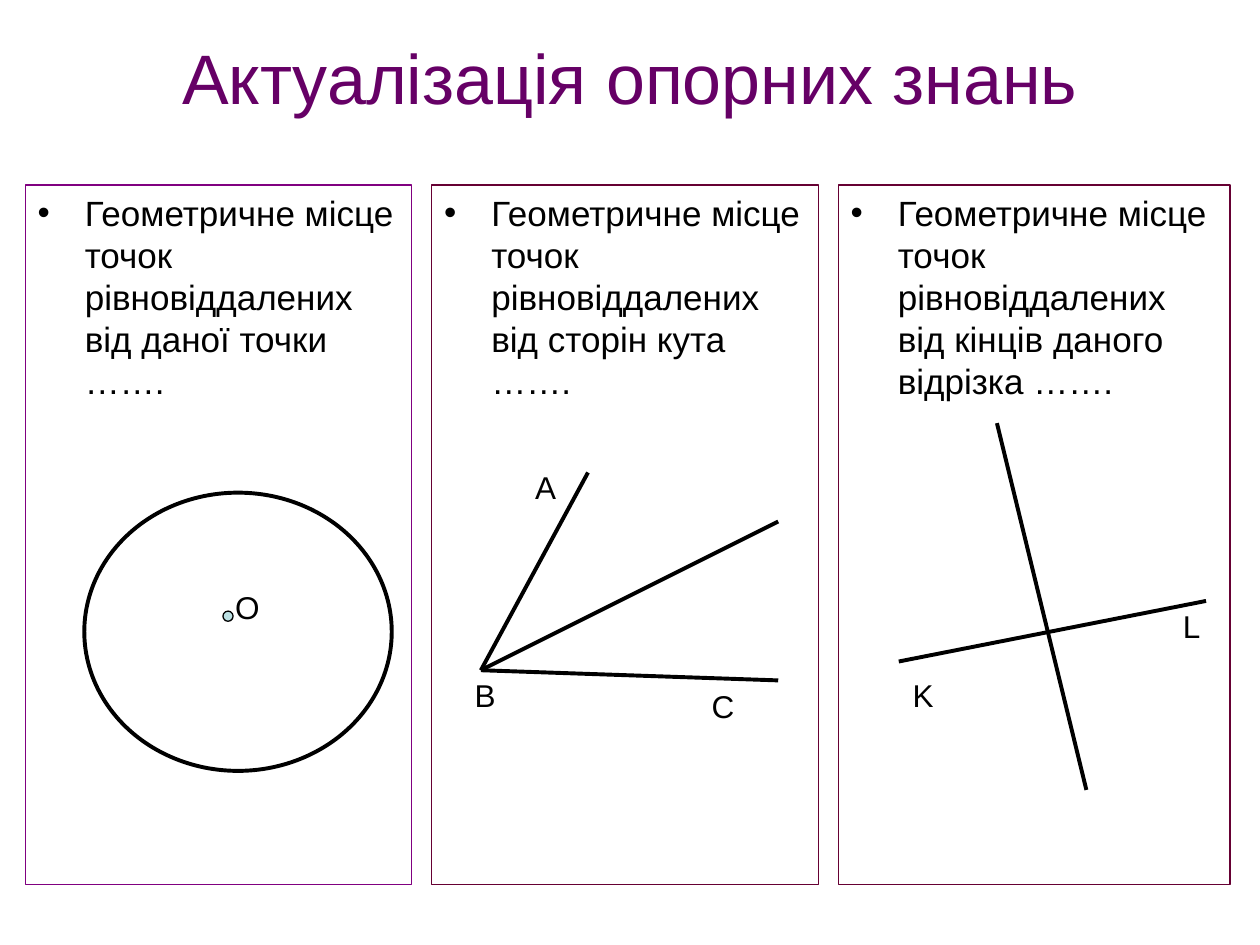
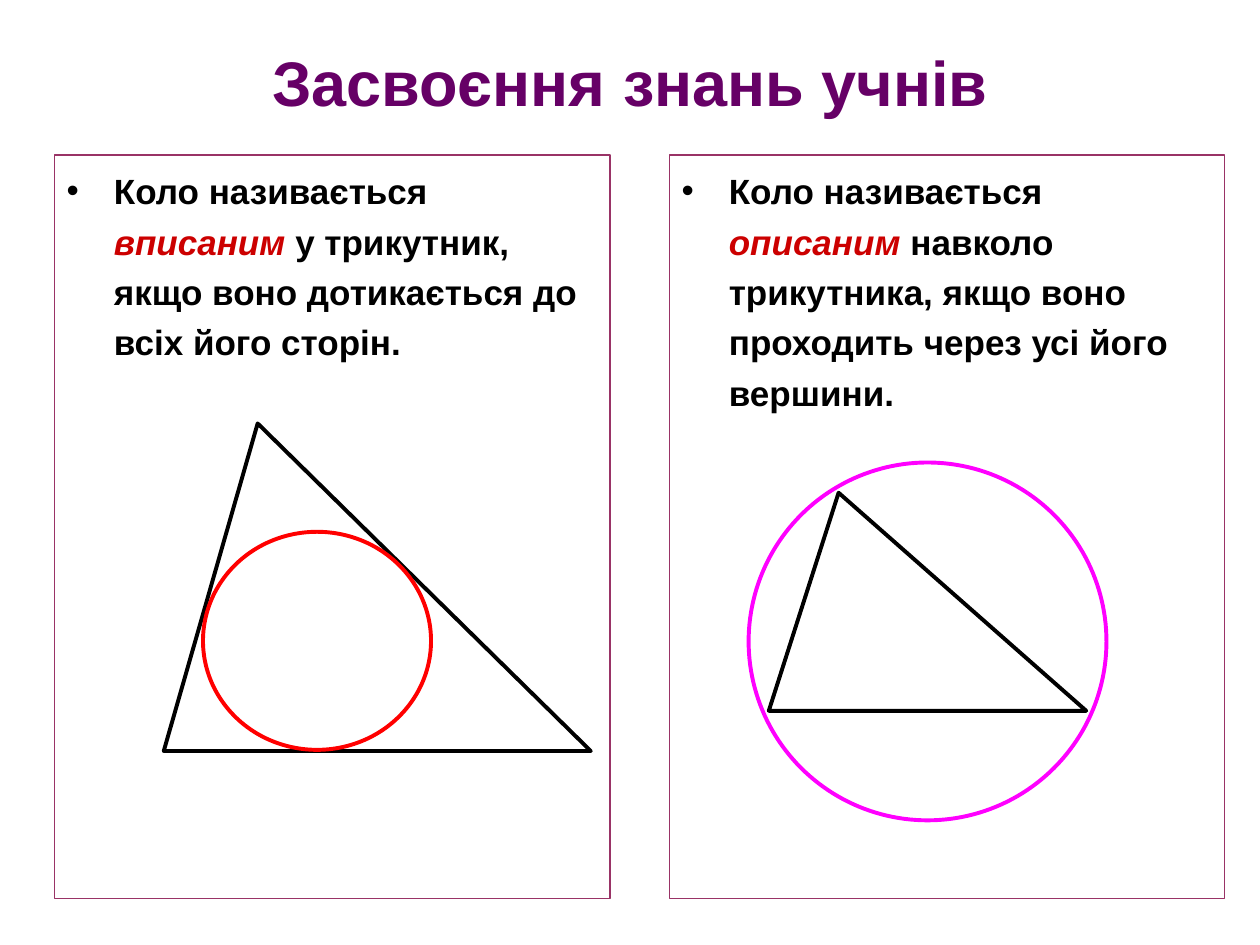
from lxml.etree import SubElement
from pptx import Presentation
from pptx.dml.color import RGBColor
from pptx.enum.shapes import MSO_CONNECTOR, MSO_SHAPE
from pptx.enum.text import MSO_ANCHOR, MSO_AUTO_SIZE, PP_ALIGN
from pptx.oxml.ns import qn
from pptx.util import Pt

FONT = "Arial"
BLACK = RGBColor(0x00, 0x00, 0x00)
TITLE = RGBColor(0x66, 0x00, 0x66)
PURPLE = RGBColor(0x80, 0x00, 0x80)
WINE = RGBColor(0x66, 0x00, 0x33)
PLUM = RGBColor(0x99, 0x33, 0x66)
TERM = RGBColor(0xCC, 0x00, 0x00)
RED = RGBColor(0xFF, 0x00, 0x00)
MAGENTA = RGBColor(0xFF, 0x00, 0xFF)
DOT = RGBColor(0xBB, 0xE0, 0xE3)
THICK, THIN = 2.25, 0.75


def add_text(tf, runs, size=20, bold=False, color=BLACK, align=PP_ALIGN.LEFT,
             anchor=MSO_ANCHOR.TOP, before=0, spacing=None, bullet=False):
    tf.word_wrap = True
    tf.auto_size = MSO_AUTO_SIZE.NONE
    tf.vertical_anchor = anchor
    tf.margin_left = tf.margin_right = Pt(7.2)
    tf.margin_top = tf.margin_bottom = Pt(3.6)
    p = tf.paragraphs[0]
    p.alignment = align
    p.space_before = Pt(before)
    if spacing:
        p.line_spacing = spacing
    if bullet:
        pPr = p._p.get_or_add_pPr()
        pPr.set("marL", str(Pt(27)))
        pPr.set("indent", str(Pt(-27)))
        SubElement(pPr, qn("a:buFont"), typeface=FONT)
        SubElement(pPr, qn("a:buChar"), char="•")
    for text, is_term in runs:
        r = p.add_run()
        r.text = text
        r.font.name = FONT
        r.font.size = Pt(size)
        r.font.bold = bold
        r.font.italic = is_term
        r.font.color.rgb = TERM if is_term else color


def add_outline(s, kind, box, color=BLACK, width=THICK, fill=None):
    sp = s.shapes.add_shape(kind, *(Pt(v) for v in box))
    sp.shadow.inherit = False
    if fill is None:
        sp.fill.background()
    else:
        sp.fill.solid()
        sp.fill.fore_color.rgb = fill
    sp.line.color.rgb = color
    sp.line.width = Pt(width)
    return sp


def add_line(s, x, y, start, end):
    sp = s.shapes.add_connector(MSO_CONNECTOR.STRAIGHT,
                                Pt(x + start[0]), Pt(y + start[1]),
                                Pt(x + end[0]), Pt(y + end[1]))
    SubElement(sp._element.spPr, qn("a:effectLst"))
    sp.line.color.rgb = BLACK
    sp.line.width = Pt(THICK)


def add_label(s, text, x, y):
    sp = s.shapes.add_textbox(Pt(x), Pt(y), Pt(51), Pt(28.8))
    add_text(sp.text_frame, [(text, False)], size=18, before=11.2,
             align=PP_ALIGN.CENTER)


def add_titled_slide(prs, title, height, size, bold=False):
    s = prs.slides.add_slide(prs.slide_layouts[5])
    sp = s.shapes.title
    sp.left, sp.top, sp.width, sp.height = Pt(36), Pt(21.6), Pt(648), Pt(height)
    add_text(sp.text_frame, [(title, False)], size=size, bold=bold, color=TITLE,
             align=PP_ALIGN.CENTER, anchor=MSO_ANCHOR.MIDDLE)
    return s


def add_panel(s, box, color, runs, **fmt):
    sp = add_outline(s, MSO_SHAPE.RECTANGLE, box, color, THIN)
    add_text(sp.text_frame, runs, before=5, bullet=True, **fmt)


def draw_circle(s, x, y):
    add_outline(s, MSO_SHAPE.OVAL, (x + 33.8, y + 175.7, 175.7, 159))
    add_outline(s, MSO_SHAPE.OVAL, (x + 113, y + 243.4, 5.8, 5.8), width=THIN, fill=DOT)
    add_label(s, "О", x + 101.5, y + 226.8)


def draw_angle(s, x, y):
    for end in ((89.3, 164.2), (198, 192.2), (198, 283)):
        add_line(s, x, y, (28.1, 277.2), end)
    for text, dx, dy in (("А", 39.6, 158.4), ("В", 5, 277.2), ("С", 141, 283)):
        add_label(s, text, x + dx, y + dy)


def draw_bisector(s, x, y):
    add_line(s, x, y, (34.6, 272.2), (210.2, 237.6))
    add_line(s, x, y, (90.7, 136), (141.8, 345.6))
    add_label(s, "K", x + 23, y + 277.2)
    add_label(s, "L", x + 176.4, y + 237.6)


def draw_triangle_and_circle(s, x, y, triangle, circle, color):
    for kind, (dx, dy, w, h), line in ((MSO_SHAPE.ISOSCELES_TRIANGLE, triangle, BLACK),
                                       (MSO_SHAPE.OVAL, circle, color)):
        sp = add_outline(s, kind, (x + dx, y + dy, w, h), line)
        if kind == MSO_SHAPE.ISOSCELES_TRIANGLE:
            sp.adjustments[0] = 0.22


def build_review(prs):
    s = add_titled_slide(prs, "Актуалізація опорних знань", 44, 40)
    left, top, step, height = 14.4, 105.8, 232.3, 399.6
    loci = (
        ("від даної точки", PURPLE, 221, draw_circle),
        ("від сторін кута", WINE, 221, draw_angle),
        ("від кінців даного відрізка", WINE, 224, draw_bisector),
    )
    for i, (locus, color, width, draw) in enumerate(loci):
        x = left + i * step
        text = f"Геометричне місце точок рівновіддалених {locus} ……."
        add_panel(s, (x, top, width, height), color, [(text, False)])
        draw(s, x, top)


def build_definitions(prs):
    s = add_titled_slide(prs, "Засвоєння знань учнів", 49.7, 36, bold=True)
    left, top, step, width, height = 31, 88.6, 351.4, 317.5, 424.8
    definitions = (
        ("вписаним ", "у трикутник, якщо воно дотикається до всіх його сторін.",
         (62.6, 153.4, 244, 187.2), (85, 215.3, 130.3, 124.6), RED),
        ("описаним ", "навколо трикутника, якщо воно проходить через усі його вершини.",
         (56.9, 193, 181.4, 124.6), (45.4, 175.7, 204.5, 204.5), MAGENTA),
    )
    for i, (term, meaning, triangle, circle, color) in enumerate(definitions):
        x = left + i * step
        runs = [("Коло називається ", False), (term, True), (meaning, False)]
        add_panel(s, (x, top, width, height), PLUM, runs, bold=True, spacing=1.2)
        draw_triangle_and_circle(s, x, top, triangle, circle, color)


def main():
    prs = Presentation()
    prs.slide_width, prs.slide_height = Pt(720), Pt(540)
    build_review(prs)
    build_definitions(prs)
    prs.save("out.pptx")


if __name__ == "__main__":
    main()
